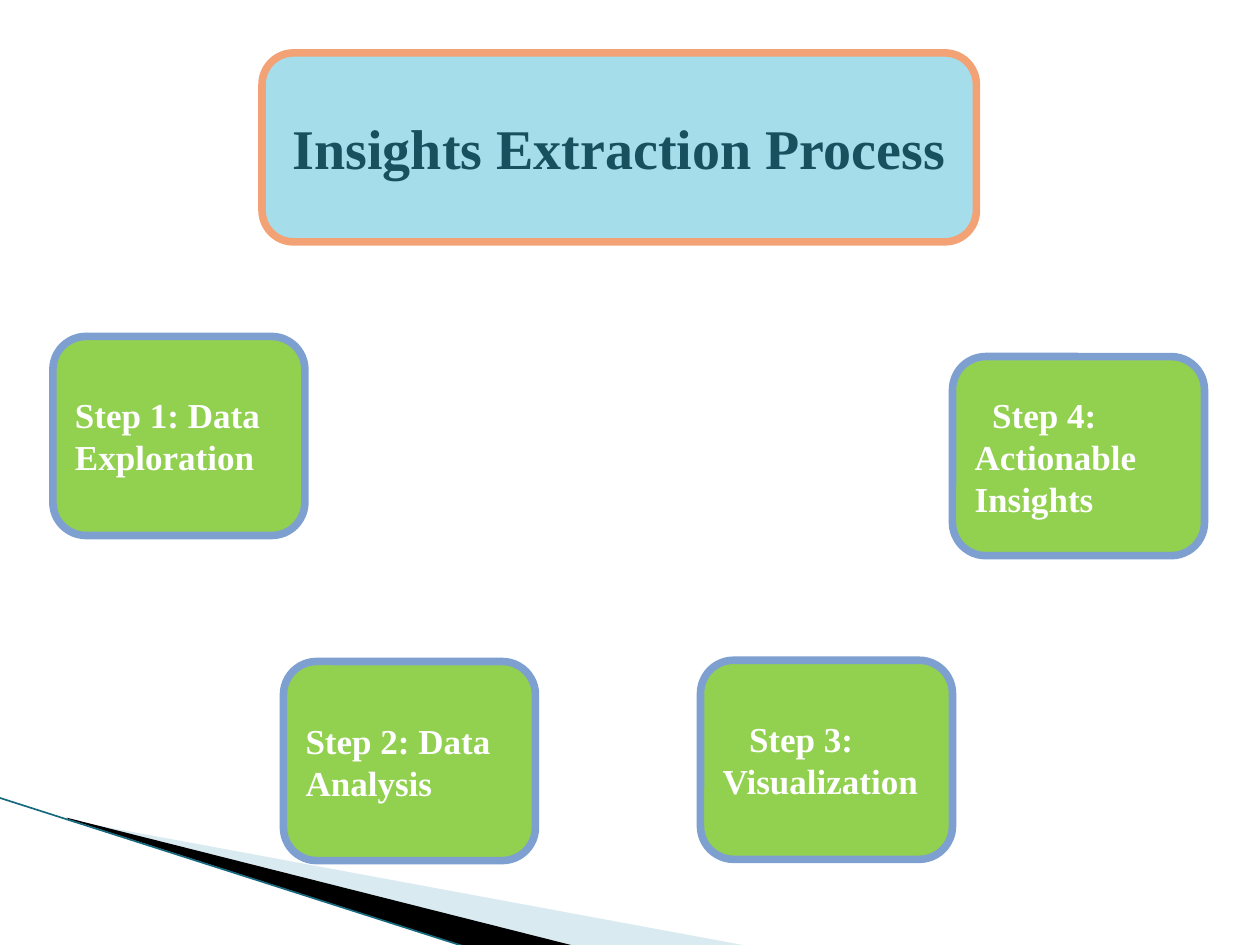
import pptx
import pptx.util
import pptx.dml.color
import pptx.enum.shapes
import pptx.enum.text
import pptx.oxml
import pptx.oxml.ns
import lxml.etree
from dataclasses import dataclass

Inches = pptx.util.Inches
Pt = pptx.util.Pt
Kind = pptx.enum.shapes.MSO_SHAPE
Align = pptx.enum.text.PP_ALIGN


@dataclass(frozen=True)
class Theme:
    face: str = "Times New Roman"
    title: str = "175160"
    banner: str = "A6DDEA"
    frame: str = "F3A276"
    step: str = "92D050"
    edge: str = "7DA0D0"
    white: str = "FFFFFF"
    pale: str = "A0CBDC"
    dark: str = "000000"
    teal: str = "17697F"
    big: float = 32
    small: float = 20
    border: float = 4.33
    hair: float = 0.95


def tint(code):
    return pptx.dml.color.RGBColor.from_string(code)


def apply(target, values):
    for name, value in values.items():
        setattr(target, name, value)


class Deck:
    def __init__(self, theme):
        self.theme = theme
        self.file = pptx.Presentation()
        apply(self.file, {"slide_width": Inches(10), "slide_height": Inches(7.5)})
        self.slide = self.file.slides.add_slide(self.file.slide_layouts[6])

    def paint(self, shape, fill):
        shape.shadow.inherit = False
        shape.fill.solid()
        shape.fill.fore_color.rgb = tint(fill)

    def wedge(self, points, fill, alpha=None):
        start, *rest = [(Inches(x), Inches(y)) for x, y in points]
        pen = self.slide.shapes.build_freeform(*start)
        pen.add_line_segments(rest, close=True)
        shape = pen.convert_to_shape()
        self.paint(shape, fill)
        shape.line.fill.background()
        if alpha is not None:
            color = shape.fill._xPr.find(".//" + pptx.oxml.ns.qn("a:srgbClr"))
            node = lxml.etree.SubElement(color, pptx.oxml.ns.qn("a:alpha"))
            node.set("val", str(alpha * 1000))

    def rule(self, start, end, color):
        ends = [Inches(v) for v in (*start, *end)]
        line = self.slide.shapes.add_connector(
            pptx.enum.shapes.MSO_CONNECTOR.STRAIGHT, *ends)
        apply(line.line, {"width": Pt(self.theme.hair)})
        line.line.color.rgb = tint(color)
        lxml.etree.SubElement(line._element.spPr, pptx.oxml.ns.qn("a:effectLst"))

    def card(self, box, text, fill, edge, ink, size, align, indent=0):
        shape = self.slide.shapes.add_shape(
            Kind.ROUNDED_RECTANGLE, *[Inches(v) for v in box])
        self.paint(shape, fill)
        shape.line.color.rgb = tint(edge)
        shape.line.width = Pt(self.theme.border)
        frame = shape.text_frame
        apply(frame, {"word_wrap": True,
                      "vertical_anchor": pptx.enum.text.MSO_ANCHOR.MIDDLE})
        para = frame.paragraphs[0]
        para.alignment = align
        if indent:
            props = para._p.get_or_add_pPr()
            apply_xml = {"marL": 0, "indent": Inches(indent)}
            for name, value in apply_xml.items():
                props.set(name, str(int(value)))
        run = para.add_run()
        run.text = text
        apply(run.font, {"name": self.theme.face, "size": Pt(size), "bold": True})
        run.font.color.rgb = tint(ink)

    def banner(self, box, text):
        look = self.theme
        self.card(box, text, look.banner, look.frame, look.title, look.big,
                  Align.CENTER)

    def step(self, left, top, text, indent):
        look = self.theme
        self.card((left, top, 2, 1.58), text, look.step, look.edge, look.white,
                  look.small, Align.LEFT, indent)


def main():
    look = Theme()
    deck = Deck(look)
    deck.wedge([(0.55, 6.51), (5.95, 7.51), (4.56, 7.51), (0.55, 6.5)],
               look.pale, 40)
    deck.wedge([(0.53, 6.49), (4.57, 7.51), (3.72, 7.52), (0.54, 6.5)], look.dark)
    deck.rule((-0.01, 6.33), (3.71, 7.52), look.teal)
    deck.banner((2.08, 0.42, 5.67, 1.5), "Insights Extraction Process")
    steps = [
        (0.42, 2.67, "Data Exploration", 0),
        (2.25, 5.25, "Data Analysis", 0),
        (5.56, 5.24, "Visualization", 0.21),
        (7.56, 2.83, "Actionable Insights", 0.14),
    ]
    for count, (left, top, name, indent) in enumerate(steps, 1):
        deck.step(left, top, f"Step {count}: {name}", indent)
    deck.file.save("out.pptx")


if __name__ == "__main__":
    main()
